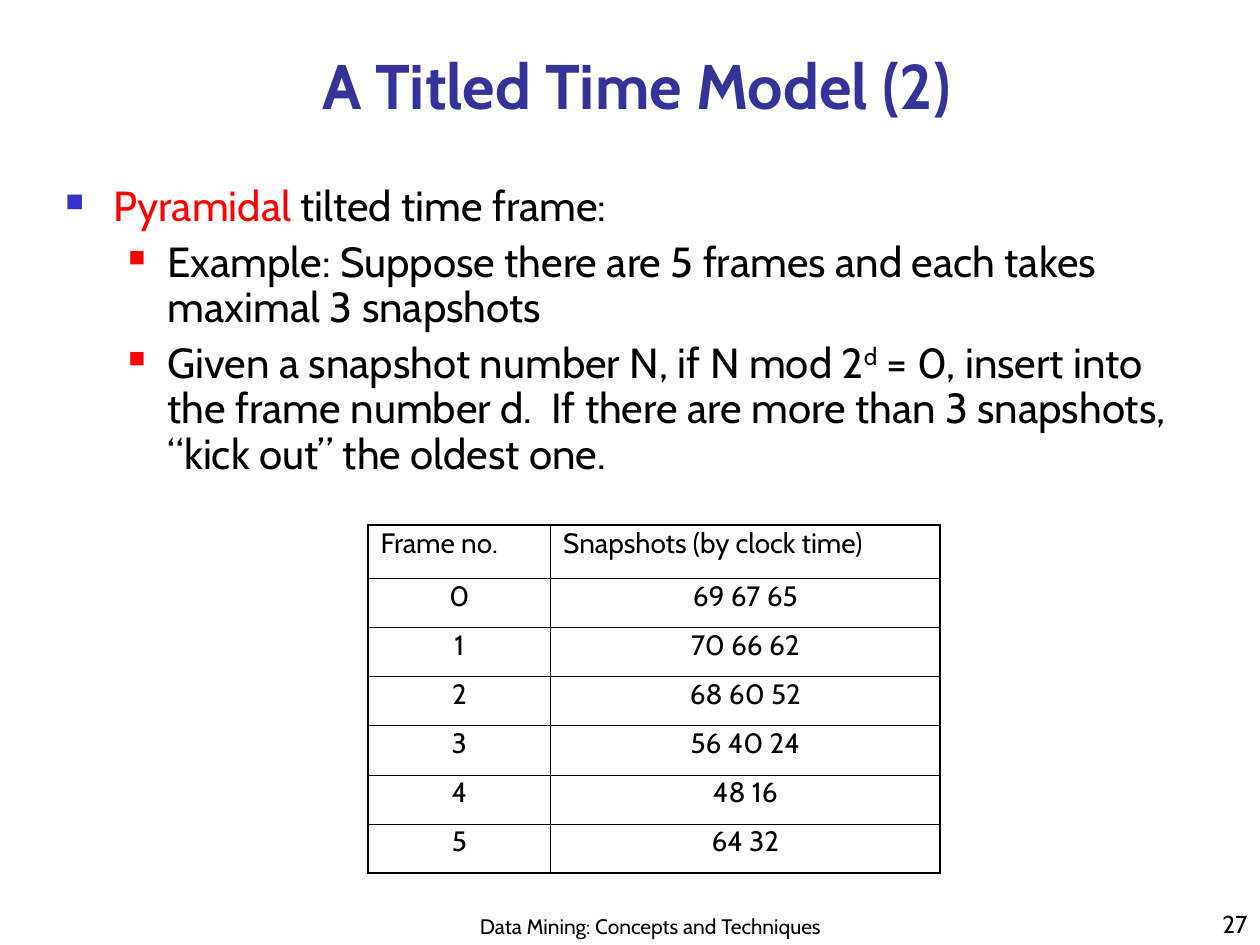
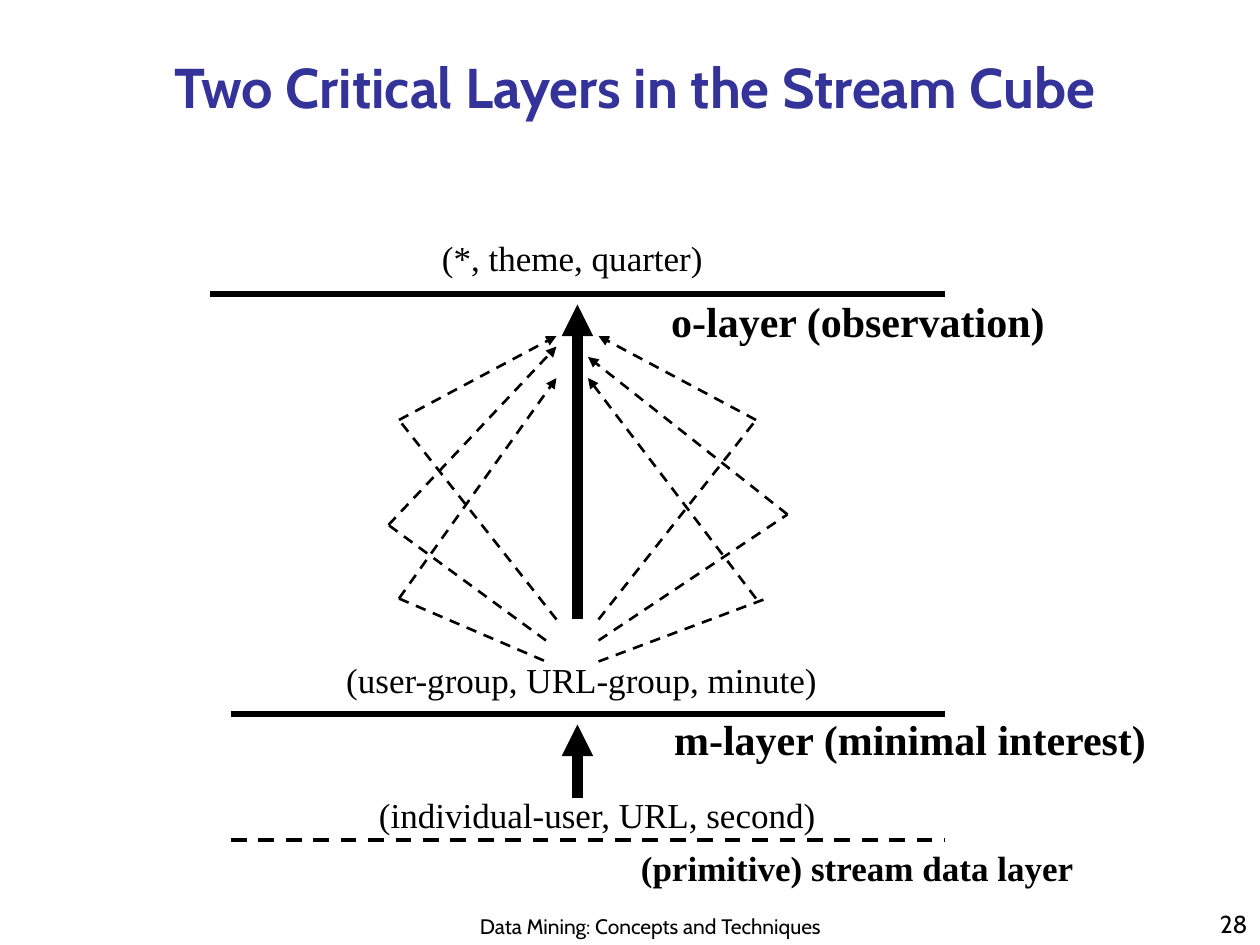
from lxml.etree import SubElement as Sub
from pptx import Presentation
from pptx.dml.color import RGBColor as RGB
from pptx.enum.dml import MSO_LINE as Dash
from pptx.enum.shapes import MSO_CONNECTOR as Link
from pptx.enum.text import MSO_ANCHOR as Anchor, MSO_AUTO_SIZE as Fit, PP_ALIGN as Align
from pptx.oxml.ns import qn
from pptx.util import Cm, Pt

# ---- Content ----
COLORS = {"title": "333399", "ink": "000000", "accent": "FF0000", "mark": "3333CC"}
SANS, SERIF = "Cabin", "Times New Roman"
FOOTER = "Data Mining: Concepts and Techniques"

# Each point: level, then runs of (text, format)
POINTS = [
    (0, [("Pyramidal", {"color": "accent"}), (" tilted time frame:", {})]),
    (1, [("Example: Suppose there are 5 frames and each takes maximal 3 snapshots", {})]),
    (1, [("Given a snapshot number N, if N mod 2", {}), ("d", {"base": 30}),
         (" = 0, insert into the frame number d.  If there are more than 3 snapshots, "
          "“kick out” the oldest one.", {})]),
]
# Per level: left margin and hanging indent in cm, bullet colour, bullet size in %
LEVELS = [(0.97, 0.97, "mark", 60), (2.06, 0.79, "accent", 55)]

HEAD = ("Frame no.", "Snapshots (by clock time)")
SNAPS = ["69 67 65", "70 66 62", "68 60 52", "56 40 24", "48 16", "64 32"]

# Labels: text, box in cm, size, bold
LABELS = [
    ("(*, theme, quarter)", (8.66, 4.65, 5.77, 1.12), 20, False),
    ("o-layer (observation)", (13.28, 5.84, 8.05, 1.27), 24, True),
    ("(user-group, URL-group, minute)", (6.73, 13.16, 10.01, 1.12), 20, False),
    ("m-layer (minimal interest)", (13.34, 14.25, 10.06, 1.27), 24, True),
    ("(individual-user, URL, second)", (7.39, 15.88, 9.35, 1.12), 20, False),
    ("(primitive) stream data layer", (12.67, 16.94, 9.25, 1.12), 20, True),
]

# Lines as x1, y1, x2, y2 in grid steps of a twelfth of an inch
STEP = Cm(2.54) / 12
LAYERS = [(20, 28, 90, 28), (22, 68, 90, 68)]
BASE = [(22, 80, 90, 80)]
TRUNK = [(55, 59, 55, 29), (55, 76, 55, 69)]
LEGS = [(57, 63, 73, 57), (38, 57, 52, 63), (57, 61, 75, 49),
        (52, 61, 37, 50), (57, 59, 72, 40), (53, 59, 38, 40)]
PATHS = [(38, 57, 53, 36), (72, 57, 56, 36), (37, 50, 53, 33),
         (75, 49, 56, 34), (38, 40, 53, 32), (72, 40, 57, 32)]
# Groups: lines, width, dashed, arrow
GROUPS = [(LAYERS, 3, False, False), (BASE, 2.25, True, False), (TRUNK, 6, False, True),
          (LEGS, 1.5, True, False), (PATHS, 1.5, True, True)]


# ---- Helpers ----
def hue(name):
    return RGB.from_string(COLORS[name])


def write(para, text, size=24, font=SANS, color="ink", bold=False, align=None, base=0):
    """Add one formatted run to a paragraph."""
    run = para.add_run()
    run.text = text
    face = run.font
    face.size, face.name, face.bold = Pt(size), font, bold
    face.color.rgb = hue(color)
    if align is not None:
        para.alignment = align
    if base:
        run._r.get_or_add_rPr().set("baseline", str(base * 1000))


def add_box(slide, box, anchor=Anchor.TOP, wrap=True):
    frame = slide.shapes.add_textbox(*map(Cm, box)).text_frame
    frame.word_wrap, frame.vertical_anchor = wrap, anchor
    if not wrap:
        frame.auto_size = Fit.SHAPE_TO_FIT_TEXT
    return frame


def add_slide(deck, title, box, size, page):
    """Add a slide with its title, footer and page number."""
    slide = deck.slides.add_slide(deck.slide_layouts[5])
    head = slide.shapes.title
    head.left, head.top, head.width, head.height = map(Cm, box)
    frame = head.text_frame
    frame.vertical_anchor, frame.word_wrap = Anchor.MIDDLE, True
    write(frame.paragraphs[0], title, size=size, color="title", bold=True, align=Align.CENTER)
    foot = add_box(slide, (9.09, 17.98, 8.05, 1.07), Anchor.BOTTOM)
    write(foot.paragraphs[0], FOOTER, size=12, align=Align.CENTER)
    num = add_box(slide, (20.12, 17.78, 5.28, 1.27), Anchor.BOTTOM)
    write(num.paragraphs[0], str(page), size=14, align=Align.RIGHT)
    return slide


def add_bullet(para, level):
    left, hang, color, size = LEVELS[level]
    props = para._p.get_or_add_pPr()
    props.set("marL", str(Cm(left)))
    props.set("indent", str(-Cm(hang)))
    props.set("lvl", str(level))
    Sub(Sub(props, qn("a:buClr")), qn("a:srgbClr"), val=COLORS[color])
    Sub(props, qn("a:buSzPct"), val=str(size * 1000))
    Sub(props, qn("a:buChar"), char="■")


def add_points(slide):
    frame = add_box(slide, (1.07, 3.61, 23.34, 14.17))
    for i, (level, runs) in enumerate(POINTS):
        para = frame.add_paragraph() if i else frame.paragraphs[0]
        add_bullet(para, level)
        para.line_spacing = 0.9
        if i:
            para.space_before = Pt(6)
        for text, style in runs:
            write(para, text, **style)


def add_edges(cell, **outer):
    """Draw thick edges on the rim of the table and thin ones inside."""
    props = cell._tc.get_or_add_tcPr()
    for side in "LRTB":
        width = Pt(1.08 if outer[side] else 0.45)
        edge = Sub(props, qn(f"a:ln{side}"), w=str(width))
        Sub(Sub(edge, qn("a:solidFill")), qn("a:srgbClr"), val=COLORS["ink"])


def add_grid(slide):
    rows = [HEAD] + [(str(i), snap) for i, snap in enumerate(SNAPS)]
    widths, heights = (3.68, 7.85), [1.07] + [0.99] * len(SNAPS)
    table = slide.shapes.add_table(len(rows), len(HEAD), Cm(7.42), Cm(10.59),
                                   Cm(sum(widths)), Cm(sum(heights))).table
    table.first_row = table.horz_banding = False
    for col, width in zip(table.columns, widths):
        col.width = Cm(width)
    for r, row in enumerate(rows):
        table.rows[r].height = Cm(heights[r])
        for c, text in enumerate(row):
            cell = table.cell(r, c)
            add_edges(cell, L=c == 0, R=c == len(HEAD) - 1, T=r == 0, B=r == len(rows) - 1)
            cell.fill.background()
            para = cell.text_frame.paragraphs[0]
            para.line_spacing = 0.8
            write(para, text, size=16, align=Align.CENTER if r else Align.LEFT)


def add_line(slide, ends, width, dashed, arrow):
    link = slide.shapes.add_connector(Link.STRAIGHT, *(round(n * STEP) for n in ends))
    link.line.width = Pt(width)
    link.line.color.rgb = hue("ink")
    if dashed:
        link.line.dash_style = Dash.DASH
    props = link._element.spPr
    if arrow:
        Sub(props.find(qn("a:ln")), qn("a:tailEnd"), type="triangle")
    Sub(props, qn("a:effectLst"))


# ---- Slides ----
def main():
    deck = Presentation()
    deck.slide_width, deck.slide_height = Cm(25.4), Cm(19.05)

    # Time frames
    slide = add_slide(deck, "A Titled Time Model (2)", (2.11, 0.64, 21.44, 2.11), 36, 27)
    add_points(slide)
    add_grid(slide)

    # Stream cube layers
    slide = add_slide(deck, "Two Critical Layers in the Stream Cube",
                      (1.3, 0.81, 23.01, 1.85), 32, 28)
    for lines, *style in GROUPS:
        for ends in lines:
            add_line(slide, ends, *style)
    for text, box, size, bold in LABELS:
        frame = add_box(slide, box, wrap=False)
        write(frame.paragraphs[0], text, size=size, font=SERIF, bold=bold)

    deck.save("out.pptx")


if __name__ == "__main__":
    main()
